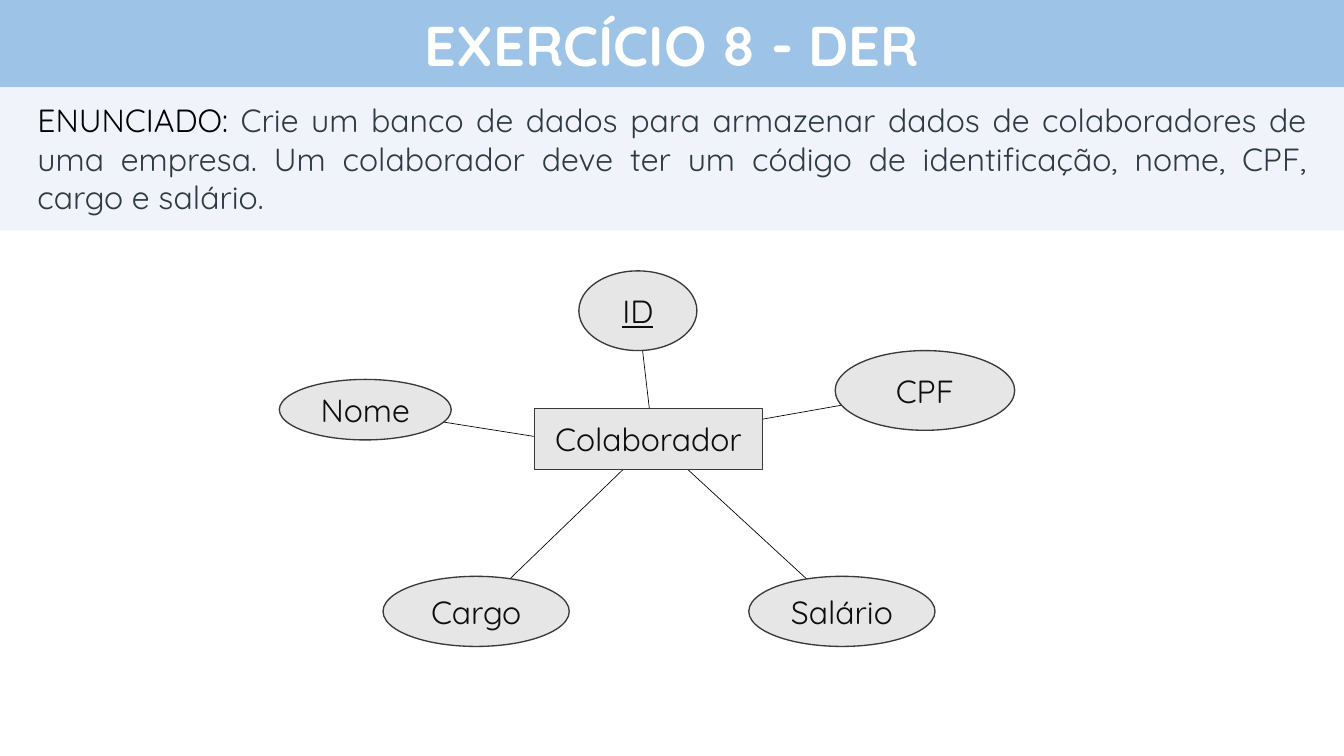
from pptx import Presentation
from pptx.dml.color import RGBColor
from pptx.enum.shapes import MSO_CONNECTOR, MSO_SHAPE
from pptx.enum.text import MSO_ANCHOR, MSO_AUTO_SIZE, PP_ALIGN
from pptx.oxml.ns import qn
from pptx.util import Inches, Pt
from lxml import etree

RECT, OVAL = MSO_SHAPE.RECTANGLE, MSO_SHAPE.OVAL
LINE = MSO_CONNECTOR.STRAIGHT
TOP, MIDDLE = MSO_ANCHOR.TOP, MSO_ANCHOR.MIDDLE
CENTER, JUSTIFY = PP_ALIGN.CENTER, PP_ALIGN.JUSTIFY
FIXED = MSO_AUTO_SIZE.NONE
FONT = "Quicksand"
HEX = {
    "title": "9DC3E6", "band": "F0F4FA", "node": "E7E6E6", "edge": "3B3838",
    "white": "FFFFFF", "black": "000000", "slate": "2D3B45", "ink": "0D0D0D",
}

deck = Presentation()
deck.slide_width, deck.slide_height = Inches(14), Inches(7.87)
COL, ROW = deck.slide_width / 140, deck.slide_height / 78.7
slide = deck.slides.add_slide(deck.slide_layouts[5])
shapes = slide.shapes


def paint(shape, fill, edge=None):
    shape.fill.solid()
    shape.fill.fore_color.rgb = RGBColor.from_string(HEX[fill])
    if edge:
        shape.line.color.rgb = RGBColor.from_string(HEX[edge])
        shape.line.width = Pt(1)
    else:
        shape.line.fill.background()


def write(shape, runs, size=24, align=CENTER, anchor=MIDDLE):
    frame = shape.text_frame
    frame.word_wrap = True
    frame.auto_size = FIXED
    frame.vertical_anchor = anchor
    para = frame.paragraphs[0]
    para.alignment = align
    for text, color, style in runs:
        run = para.add_run()
        run.text = text
        run.font.name, run.font.size = FONT, Pt(size)
        run.font.color.rgb = RGBColor.from_string(HEX[color])
        run.font.bold = style == "bold"
        run.font.underline = style == "under"


title = shapes.title
title.left, title.top = 0, 0
title.width, title.height = deck.slide_width, round(9.1 * ROW)
paint(title, "title")
write(title, [("EXERCÍCIO 8 - DER", "white", "bold")], 42)

band = shapes.add_shape(RECT, 0, title.height, deck.slide_width, round(14.9 * ROW))
band.shadow.inherit = False
paint(band, "band")
write(band, [
    ("ENUNCIADO: ", "black", ""),
    ("Crie um banco de dados para armazenar dados de colaboradores de uma empresa. "
     "Um colaborador deve ter um código de identificação, nome, CPF, cargo e salário.",
     "slate", ""),
], align=JUSTIFY, anchor=TOP)
body = band.text_frame
body.margin_left = body.margin_right = round(3.9 * COL)
body.margin_top = body.margin_bottom = round(1.4 * ROW)
body.paragraphs[0].space_after = Pt(16.8)

nodes = [
    ("Salário", OVAL, 78, 60, 19.4, 7.3, (68.3, 45.8)),
    ("CPF", OVAL, 87, 36.5, 18.7, 8.3, (68.3, 45.6)),
    ("ID", OVAL, 60.3, 28.2, 12.3, 8.3, (68, 45.6)),
    ("Nome", OVAL, 29.1, 39.5, 17.9, 6.3, (66.8, 47.2)),
    ("Cargo", OVAL, 39.9, 60, 19.4, 7.3, (68.3, 45.6)),
    ("Colaborador", RECT, 55.7, 42.5, 23.7, 6.4, None),
]

for name, kind, x, y, w, h, hub in nodes:
    if hub:
        link = shapes.add_connector(
            LINE, round((x + w / 2) * COL), round((y + h / 2) * ROW),
            round(hub[0] * COL), round(hub[1] * ROW))
        link.line.color.rgb = RGBColor.from_string(HEX["black"])
        link.line.width = Pt(0.5)
        etree.SubElement(link.line._get_or_add_ln().getparent(), qn("a:effectLst"))

for name, kind, x, y, w, h, hub in nodes:
    node = shapes.add_shape(
        kind, round(x * COL), round(y * ROW), round(w * COL), round(h * ROW))
    node.shadow.inherit = False
    paint(node, "node", "edge")
    write(node, [(name, "ink", "under" if name == "ID" else "")])

deck.save("out.pptx")
